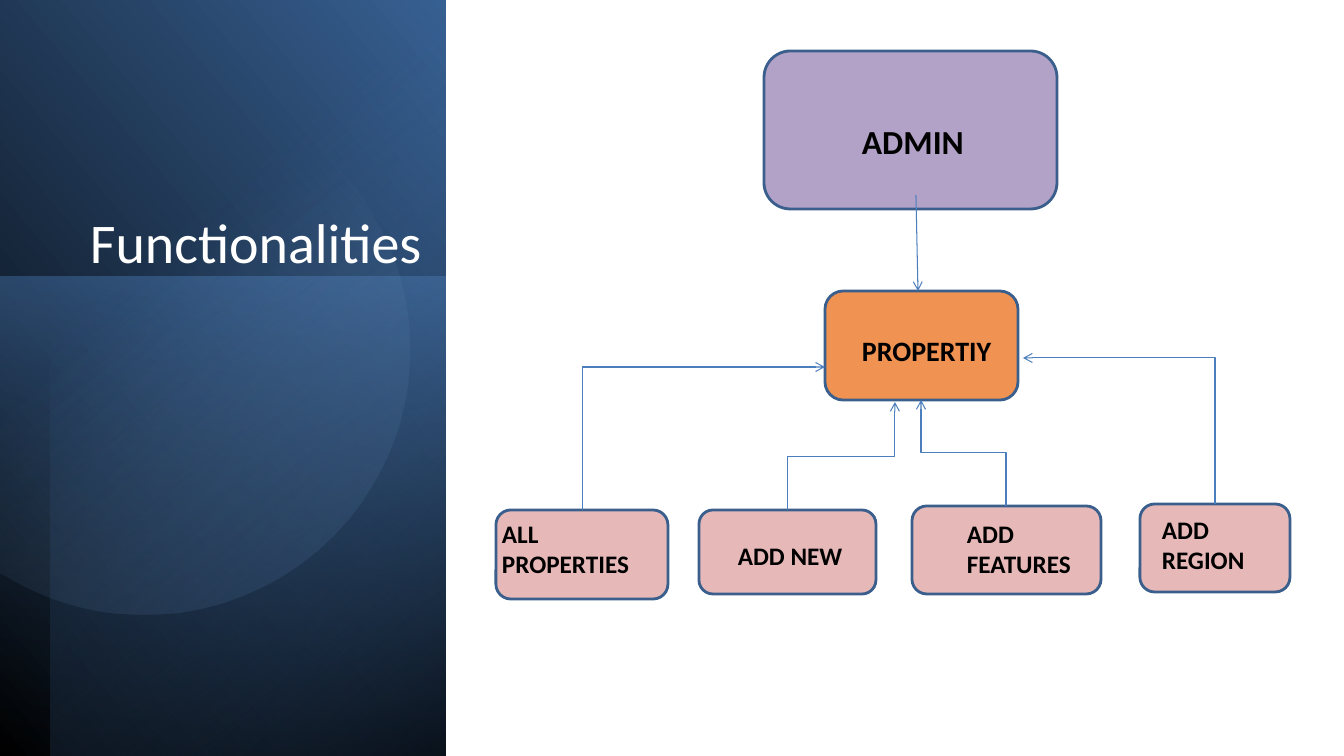
import math
from lxml import etree
from pptx import Presentation
from pptx.dml.color import RGBColor
from pptx.enum.shapes import MSO_CONNECTOR, MSO_SHAPE
from pptx.enum.text import MSO_ANCHOR
from pptx.oxml.ns import qn
from pptx.util import Emu, Pt

RECTANGLE = MSO_SHAPE.RECTANGLE
ROUNDED = MSO_SHAPE.ROUNDED_RECTANGLE
STRAIGHT = MSO_CONNECTOR.STRAIGHT
ELBOW = MSO_CONNECTOR.ELBOW
TOP = MSO_ANCHOR.TOP

THEME = {
    "font": "Calibri", "title": 40, "admin": 24, "property": 20, "action": 18,
    "white": "FFFFFF", "black": "000000", "border": "3A5F8C", "arrow": "4B7EBC",
    "purple": "B3A2C7", "orange": "F09252", "pink": "E6B9B8",
    "border_width": 2, "arrow_width": 0.75,
    "blue": "376092", "bright": "4F81BD", "navy": "254061", "pale": "95B3D7",
}

PANELS = [
    {"box": (-156, 156, 758, 446), "turn": 90, "flip": True, "angle": 310,
     "stops": [(0, "black", 100), (100, "blue", 100)]},
    {"box": (-17, 293, 480, 446), "turn": 270, "flip": False, "angle": 190,
     "stops": [(0, "bright", 50), (100, "navy", 0)]},
    {"box": (-130, 180, 756, 395), "turn": 270, "flip": True, "angle": 220,
     "stops": [(0, "black", 59), (69, "bright", 0)]},
]
DISC = {"center": (144, 350), "radius": 265, "angle": 52,
        "stops": [(39, "pale", 0), (100, "blue", 26)]}

NODES = [
    ((764, 51, 293, 158), "purple"),
    ((825, 291, 193, 109), "orange"),
    ((496, 510, 172, 89), "pink"),
    ((699, 510, 177, 84), "pink"),
    ((912, 506, 189, 88), "pink"),
    ((1140, 504, 150, 88), "pink"),
]
ADMIN_ARROW = ((916, 195), (918, 291))
ELBOW_ARROWS = [
    ((583, 510), (825, 367), "bentConnector2"),
    ((788, 510), (895, 402), "bentConnector3"),
    ((1006, 506), (921, 400), "bentConnector3"),
    ((1215, 504), (1023, 358), "bentConnector2"),
]
TEXTS = [
    ("Functionalities", (80, 210, 367, 338), "title", "white",
     {"line_spacing": 0.9, "space_after": Pt(6)}),
    ("PROPERTIY", (852, 329, 158, 78), "property", "black", {}),
    ("ADMIN", (852, 116, 160, 50), "admin", "black", {}),
    ("ALL PROPERTIES", (492, 513, 164, 102), "action", "black", {}),
    ("ADD NEW", (728, 535, 132, 72), "action", "black", {}),
    ("ADD FEATURES", (957, 513, 126, 102), "action", "black", {}),
    ("ADD REGION", (1152, 509, 139, 72), "action", "black", {}),
]

SCALE = 914400 / 100.8


def emu(*lengths):
    return [Emu(round(length * SCALE)) for length in lengths]


def color(name):
    return RGBColor.from_string(THEME[name])


def apply_format(target, values):
    for name, value in values.items():
        setattr(target, name, value)


def paint_gradient(shape, angle, stops):
    shape.shadow.inherit = False
    shape.line.fill.background()
    shape.fill.gradient()
    shape.fill.gradient_angle = 360 - angle
    for stop, (position, name, opacity) in zip(shape.fill.gradient_stops, stops):
        stop.position = position / 100
        stop.color.rgb = color(name)
    for node, (position, name, opacity) in zip(shape.element.spPr.iter(qn("a:srgbClr")), stops):
        etree.SubElement(node, qn("a:alpha"), val=str(opacity * 1000))


def add_panel(slide, panel):
    shape = slide.shapes.add_shape(RECTANGLE, *emu(*panel["box"]))
    shape.rotation = panel["turn"]
    if panel["flip"]:
        shape.element.spPr.get_or_add_xfrm().set("flipH", "1")
    paint_gradient(shape, panel["angle"], panel["stops"])


def add_disc(slide):
    center_x, center_y = DISC["center"]
    radius = DISC["radius"]
    limit = math.acos(-center_x / radius)
    steps = 120
    angles = [-limit + 2 * limit * step / steps for step in range(steps + 1)]
    points = [emu(center_x + radius * math.cos(angle), center_y + radius * math.sin(angle))
              for angle in angles]
    builder = slide.shapes.build_freeform(*points[0])
    builder.add_line_segments(points[1:], close=True)
    paint_gradient(builder.convert_to_shape(), DISC["angle"], DISC["stops"])


def add_node(slide, box, fill):
    shape = slide.shapes.add_shape(ROUNDED, *emu(*box))
    shape.shadow.inherit = False
    shape.fill.solid()
    shape.fill.fore_color.rgb = color(fill)
    shape.line.color.rgb = color("border")
    shape.line.width = Pt(THEME["border_width"])


def add_arrow(slide, kind, start, end):
    connector = slide.shapes.add_connector(kind, *emu(*start, *end))
    connector.line.color.rgb = color("arrow")
    connector.line.width = Pt(THEME["arrow_width"])
    etree.SubElement(connector.line._get_or_add_ln(), qn("a:tailEnd"), type="arrow")
    etree.SubElement(connector.element.spPr, qn("a:effectLst"))
    return connector


def add_elbow_arrow(slide, start, end, preset):
    (start_x, start_y), (end_x, end_y) = start, end
    width, height = start_y - end_y, abs(end_x - start_x)
    left = (start_x + end_x - width) / 2
    top = (start_y + end_y - height) / 2
    connector = add_arrow(slide, ELBOW, (left, top), (left + width, top + height))
    properties = connector.element.spPr
    properties.find(qn("a:prstGeom")).set("prst", preset)
    frame = properties.find(qn("a:xfrm"))
    frame.set("rot", str(270 * 60000))
    if end_x < start_x:
        frame.set("flipV", "1")


def add_text(slide, text, box, size, ink, spacing):
    frame = slide.shapes.add_textbox(*emu(*box)).text_frame
    apply_format(frame, {"word_wrap": True, "vertical_anchor": TOP})
    paragraph = frame.paragraphs[0]
    apply_format(paragraph, spacing)
    run = paragraph.add_run()
    run.text = text
    apply_format(run.font, {"name": THEME["font"], "size": Pt(THEME[size]),
                            "bold": size != "title"})
    run.font.color.rgb = color(ink)


def main():
    presentation = Presentation()
    presentation.slide_width, presentation.slide_height = emu(1344, 756)
    slide = presentation.slides.add_slide(presentation.slide_layouts[6])
    for panel in PANELS:
        add_panel(slide, panel)
    add_disc(slide)
    for node in NODES:
        add_node(slide, *node)
    add_arrow(slide, STRAIGHT, *ADMIN_ARROW)
    for arrow in ELBOW_ARROWS:
        add_elbow_arrow(slide, *arrow)
    for text in TEXTS:
        add_text(slide, *text)
    presentation.save("out.pptx")


if __name__ == "__main__":
    main()
